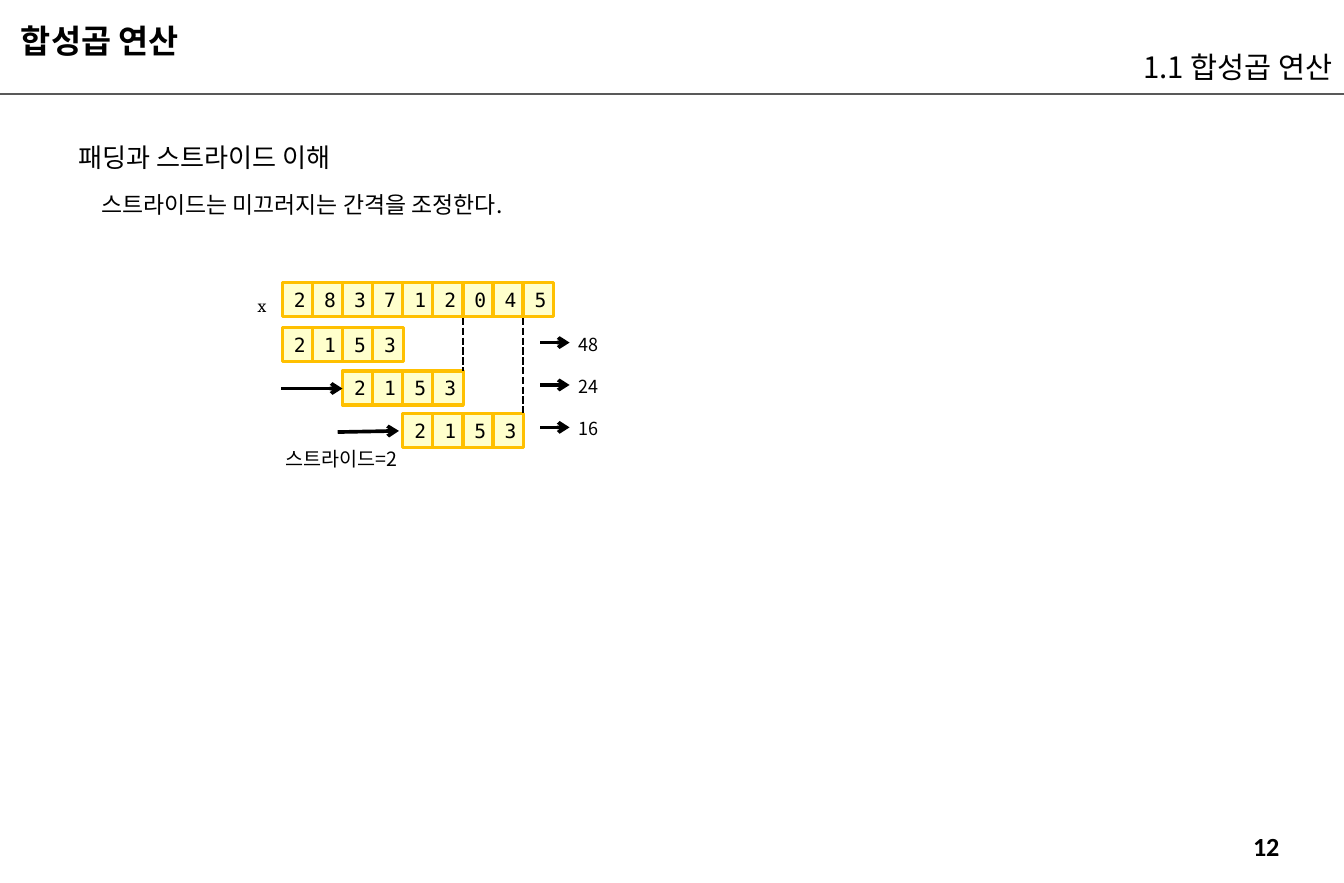
from dataclasses import dataclass

from pptx import Presentation
from pptx.dml.color import RGBColor
from pptx.enum.dml import MSO_LINE
from pptx.enum.shapes import MSO_CONNECTOR, MSO_SHAPE
from pptx.enum.text import MSO_ANCHOR, PP_ALIGN
from pptx.oxml.ns import qn
from pptx.util import Inches, Pt
from lxml.etree import SubElement


@dataclass(frozen=True)
class Theme:
    ink: RGBColor = RGBColor(0x00, 0x00, 0x00)
    rule: RGBColor = RGBColor(0x59, 0x59, 0x59)
    cell_fill: RGBColor = RGBColor(0xFF, 0xFF, 0xCC)
    cell_line: RGBColor = RGBColor(0xFF, 0xC0, 0x00)
    korean: str = "Noto Sans CJK KR"
    heading: str = "Calibri"
    digits: str = "DejaVu Sans Mono"
    variable: str = "Cambria"
    title: int = 20
    section: int = 18
    topic: int = 16
    point: int = 14
    label: int = 12
    small: int = 11


theme = Theme()

deck = Presentation()
deck.slide_width, deck.slide_height = Inches(11.42), Inches(7.5)
page = deck.slides.add_slide(deck.slide_layouts[6])


def write(text, *, at, size, font=theme.korean, bold=False, align=PP_ALIGN.LEFT,
          anchor=MSO_ANCHOR.TOP, wrap=True, margin=0.05, cell=False):
    """Place text in a text box, or in a filled cell."""
    place = [Inches(length) for length in at]
    if cell:
        box = page.shapes.add_shape(MSO_SHAPE.RECTANGLE, *place)
        box.shadow.inherit = False
        box.fill.solid()
        box.fill.fore_color.rgb = theme.cell_fill
        box.line.color.rgb = theme.cell_line
        box.line.width = Pt(2)
    else:
        box = page.shapes.add_textbox(*place)
    frame = box.text_frame
    frame.word_wrap = wrap
    frame.vertical_anchor = anchor
    frame.margin_top = frame.margin_bottom = Inches(margin)
    para = frame.paragraphs[0]
    para.alignment = align
    span = para.add_run()
    span.text = text
    span.font.name = font
    span.font.size = Pt(size)
    span.font.bold = bold
    span.font.color.rgb = theme.ink
    SubElement(span.font._element, qn("a:ea"), typeface=theme.korean)


def draw_line(start, end, width, color=theme.ink, dash=None, arrow=False):
    """Draw a straight line, with an optional dash or arrowhead."""
    line = page.shapes.add_connector(
        MSO_CONNECTOR.STRAIGHT, *[Inches(length) for length in (*start, *end)])
    line.line.color.rgb = color
    line.line.width = Pt(width)
    if dash:
        line.line.dash_style = dash
    if arrow:
        SubElement(line.line._get_or_add_ln(), qn("a:tailEnd"), type="arrow")
    SubElement(line._element.spPr, qn("a:effectLst"))


# Header and page number
draw_line((0, 0.8), (11.42, 0.8), 1.5, color=theme.rule)
write("합성곱 연산", at=(0.08, 0.09, 6.48, 0.44), size=theme.title, font=theme.heading,
      bold=True, anchor=MSO_ANCHOR.BOTTOM, margin=0.02)
write("1.1 합성곱 연산", at=(6.11, 0.3, 5.31, 0.44), size=theme.section,
      align=PP_ALIGN.RIGHT, anchor=MSO_ANCHOR.BOTTOM, margin=0.02)
write("12", at=(10.16, 7, 1.2, 0.24), size=theme.topic, font=theme.heading,
      bold=True, align=PP_ALIGN.CENTER)

# Topic and explanation
write("패딩과 스트라이드 이해", at=(0.57, 1.15, 2.36, 0.37), size=theme.topic, wrap=False)
write("스트라이드는 미끄러지는 간격을 조정한다.", at=(0.76, 1.57, 3.62, 0.34), size=theme.point)

# Input row, then the kernel sliding by the stride
signal, kernel, stride = "283712045", "2153", 2
grid_left, cell_width, cell_height = 2.4, 0.26, 0.29
pitch = 2.3 / len(signal)
rows = [(signal, 0, 2.4), (kernel, 0, 2.78),
        (kernel, stride, 3.15), (kernel, 2 * stride, 3.51)]
for values, first, top in rows:
    for column, digit in enumerate(values, first):
        write(digit, at=(grid_left + column * pitch, top, cell_width, cell_height),
              size=theme.label, font=theme.digits, align=PP_ALIGN.CENTER,
              anchor=MSO_ANCHOR.MIDDLE, cell=True)
write("x", at=(2.09, 2.45, 0.24, 0.25), size=theme.small, font=theme.variable, wrap=False)

# Dashed guides from the input to the end of each shifted kernel
for values, first, top in rows[2:]:
    guide = grid_left + (first + len(values)) * pitch
    draw_line((guide, 2.7), (guide, top), 1.5, dash=MSO_LINE.SQUARE_DOT)

# Result of each kernel position
for step, result in enumerate(["48", "24", "16"]):
    shift = step * 0.36
    draw_line((4.59, 2.91 + shift), (4.84, 2.91 + shift), 2.25, arrow=True)
    write(result, at=(4.82, 2.78 + shift, 0.38, 0.29), size=theme.small)

# Stride arrows and label
draw_line((2.39, 3.3), (2.91, 3.3), 2.25, arrow=True)
draw_line((2.87, 3.67), (3.39, 3.66), 2.25, arrow=True)
write("스트라이드=2", at=(2.33, 3.75, 1.15, 0.3), size=theme.label)

deck.save("out.pptx")
